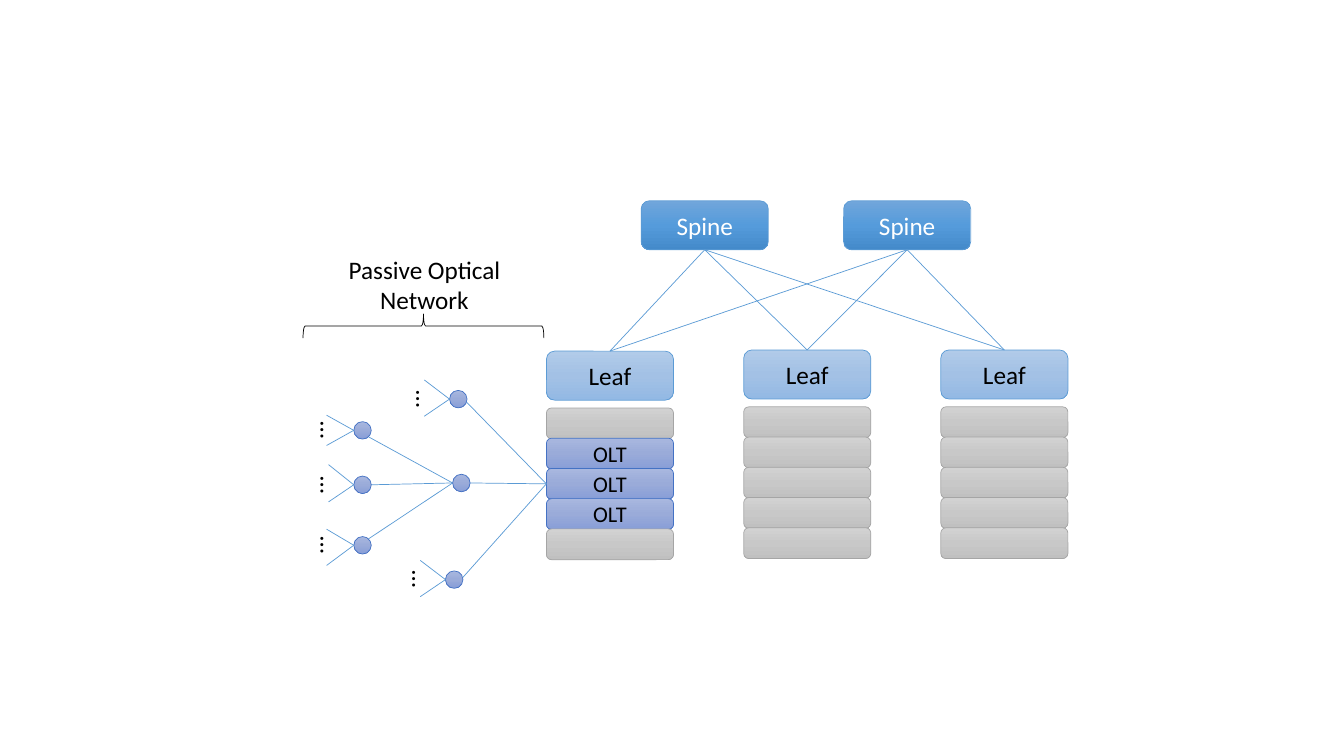
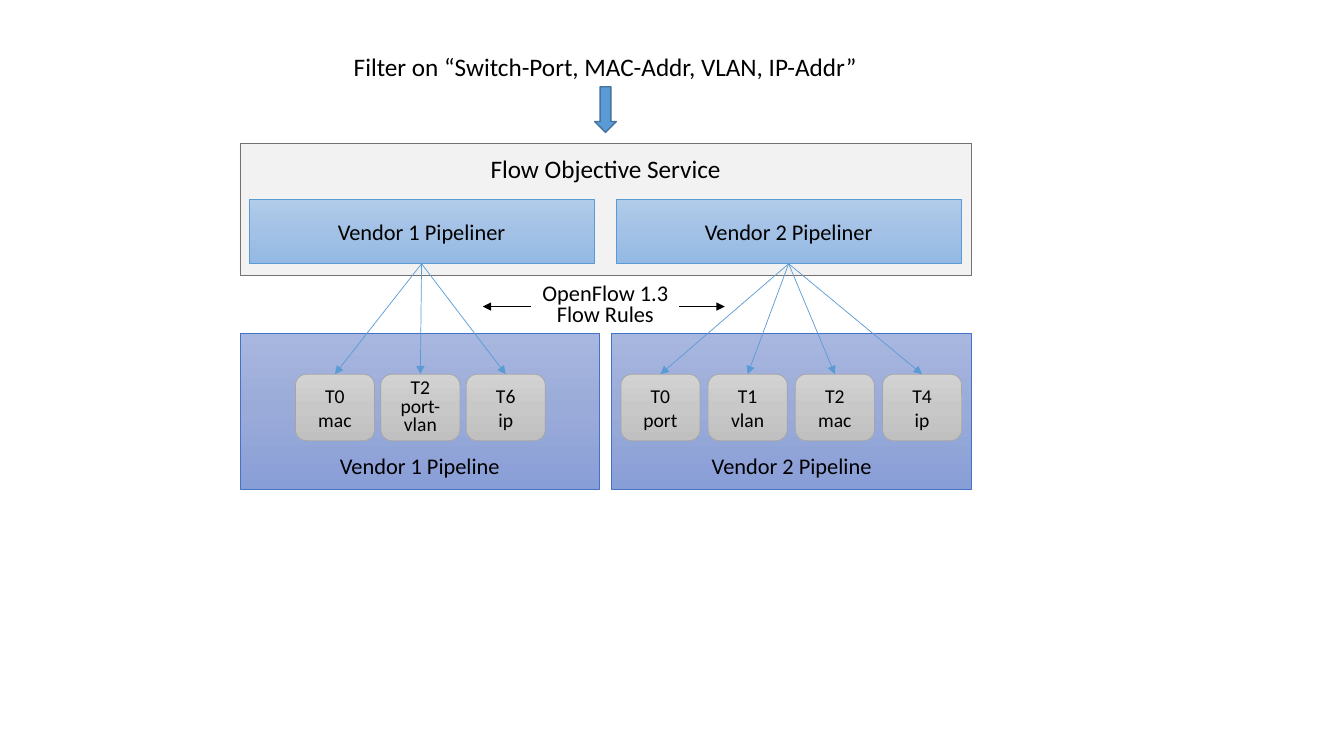
from copy import deepcopy
from pptx import Presentation
from pptx.dml.color import RGBColor
from pptx.enum.shapes import MSO_CONNECTOR, MSO_SHAPE
from pptx.enum.text import MSO_ANCHOR, PP_ALIGN
from pptx.oxml.ns import qn
from pptx.oxml.xmlchemy import OxmlElement
from pptx.util import Pt

# Shared look: fill stops and line colour
FONT, BLACK, WHITE, BLUE = "Calibri", "000000", "FFFFFF", "5B9BD5"
GRAY = (("D2D2D2", "C8C8C8", "C0C0C0"), "A5A5A5")
VIOLET = (("A8B7DF", "9AABD9", "889ED7"), "4472C4")
SKY = (("B1CBE9", "A3C1E5", "93B9E4"), BLUE)
DEEP = (("71A6DB", "559BDB", "448ACA"), BLUE)
PALE = (("F2F2F2",), "767171")
SOLID = ((BLUE,), "43739E")
CLEAR = ((), BLACK)

# Slide 1: fabric and optical network
SPINES = [458, 602.6]
LEAVES = [(390.3, 250.8), (531.2, 250), (672, 250)]
RACKS = [["", "OLT", "OLT", "OLT", ""], [""] * 5, [""] * 5]
UNIT, SLOT = (90.8, 35), (90.8, 22)
DOT = 12.5
PORT, HUB = (390.3, 345.6), (323.3, 345)
# Node left and middle, fork reach, rise and drop
NODES = [
    (252.7, 307.4, 19.4, 10.8, 10.8),
    (252.7, 346.3, 18, 14.4, 12.2),
    (252.7, 389.5, 19.4, 11.5, 14.4),
    (318.2, 414, 18, 13.7, 12.2),
    (321.1, 285.1, 18, 13.7, 12.2),
]
LINKS = [
    (PORT, (330.5, 284.4)), (PORT, (330.5, 412.6)),
    (PORT, (HUB[0] + DOT, HUB[1])),
    (HUB, (262.8, 311.8)), (HUB, (265.2, 346.3)), (HUB, (262.8, 385.2)),
]

# Slide 2: box lefts, first table, table step, tables
VENDORS = [
    ("Vendor 1", 178, 171.4, 211, 61,
     ["T0\nmac", "T2\nport-\nvlan", "T6\nip"]),
    ("Vendor 2", 440.2, 437, 443.5, 62.3,
     ["T0\nport", "T1\nvlan", "T2\nmac", "T4\nip"]),
]
TABLE, TOP = (56.5, 47.5), 267.3


def paint(text):
    return RGBColor.from_string(text)


def assign(item, values):
    for name, value in values.items():
        setattr(item, name, value)


def write(shape, text, size, color=BLACK, space=None, pad=None, **form):
    frame = shape.text_frame
    frame.text = text
    assign(frame, {"word_wrap": True, "vertical_anchor": MSO_ANCHOR.MIDDLE,
                   **form})
    if pad:
        sides = ("left", "right", "top", "bottom")
        assign(frame, {f"margin_{side}": Pt(pad) for side in sides})
    for para in frame.paragraphs:
        assign(para, {"alignment": PP_ALIGN.CENTER, "line_spacing": space})
        for run in para.runs:
            assign(run.font, {"name": FONT, "size": Pt(size)})
            run.font.color.rgb = paint(color)


def shade(shape, colors):
    fill = shape.fill
    if not colors:
        fill.background()
    elif len(colors) == 1:
        fill.solid()
        fill.fore_color.rgb = paint(colors[0])
    else:
        fill.gradient()
        fill.gradient_angle = 270
        stops = next(shape._element.spPr.iter(qn("a:gsLst")))
        stops.insert(1, deepcopy(stops[0]))
        for place, (stop, color) in enumerate(zip(fill.gradient_stops, colors)):
            stop.position = place / 2
            stop.color.rgb = paint(color)


def draw(slide, kind, spot, size, look, weight=0.5):
    shape = slide.shapes.add_shape(kind, *map(Pt, (*spot, *size)))
    shape.shadow.inherit = False
    colors, edge = look
    shade(shape, colors)
    shape.line.width = Pt(weight)
    shape.line.color.rgb = paint(edge)
    return shape


def label(slide, text, spot, span, size, **form):
    box = slide.shapes.add_textbox(*map(Pt, (*spot, *span)))
    write(box, text, size, **{"word_wrap": False,
                              "vertical_anchor": MSO_ANCHOR.TOP, **form})
    return box


def join(slide, start, end, color=BLUE, arrow=False):
    line = slide.shapes.add_connector(
        MSO_CONNECTOR.STRAIGHT, *map(Pt, (*start, *end)))
    line.line.width = Pt(0.5)
    line.line.color.rgb = paint(color)
    if arrow:
        tip = OxmlElement("a:tailEnd")
        tip.set("type", "triangle")
        line.line._get_or_add_ln().append(tip)
    line._element.spPr.append(OxmlElement("a:effectLst"))


def fabric(slide):
    # Racks under leaf switches
    for (left, top), rack in zip(LEAVES, RACKS):
        for row, text in enumerate(rack):
            look = VIOLET if text else GRAY
            slot = draw(slide, MSO_SHAPE.ROUNDED_RECTANGLE,
                        (left, top + 40.6 + row * 21.6), SLOT, look)
            if text:
                write(slot, text, 16)
        leaf = draw(slide, MSO_SHAPE.ROUNDED_RECTANGLE, (left, top), UNIT, SKY)
        write(leaf, "Leaf", 18)

    # Spine switches, each linked to every leaf
    for left in SPINES:
        spine = draw(slide, MSO_SHAPE.ROUNDED_RECTANGLE,
                     (left, 143.4), UNIT, DEEP)
        write(spine, "Spine", 18, WHITE)
        for side, top in LEAVES:
            join(slide, (left + UNIT[0] / 2, 143.4 + UNIT[1]),
                 (side + UNIT[0] / 2, top))

    # Optical tree
    for start, end in LINKS:
        join(slide, start, end)
    for left, mid in [HUB] + [node[:2] for node in NODES]:
        draw(slide, MSO_SHAPE.OVAL, (left, mid - DOT / 2), (DOT, DOT), VIOLET)
    for left, mid, reach, rise, drop in NODES:
        for shift in (-rise, drop):
            join(slide, (left, mid), (left - reach, mid + shift))
        more = label(slide, "…", (left - 30.3, mid - 14.6), (27.4, 29), 18)
        more.rotation = 90

    # Heading with brace
    brace = draw(slide, MSO_SHAPE.LEFT_BRACE, (293.8, 146.9), (17.3, 172), CLEAR)
    brace.rotation = 90
    label(slide, "Passive Optical\nNetwork", (241.2, 177.8), (124, 51), 18)


def block(slide, spot, size, look, text, points, **form):
    shape = draw(slide, MSO_SHAPE.RECTANGLE, spot, size, look)
    write(shape, text, points, pad=7.2, **form)


def flow(slide):
    # Request and service
    label(slide, "Filter on “Switch-Port, MAC-Addr, VLAN, IP-Addr”",
          (243.4, 33.1), (378, 29), 18)
    draw(slide, MSO_SHAPE.DOWN_ARROW, (424.8, 62), (15.4, 32.5), SOLID, 1)
    block(slide, (171.4, 102.6), (522.4, 94.4), PALE,
          "Flow Objective Service", 18, vertical_anchor=MSO_ANCHOR.TOP)

    # Vendor pipelines with fans of arrows
    for name, upper, lower, first, step, tables in VENDORS:
        block(slide, (upper, 142.4), (246.3, 46), SKY, f"{name} Pipeliner", 16)
        block(slide, (lower, 238), (257, 111.5), VIOLET, f"{name} Pipeline", 16,
              vertical_anchor=MSO_ANCHOR.BOTTOM)
        for place, text in enumerate(tables):
            left = first + place * step
            table = draw(slide, MSO_SHAPE.ROUNDED_RECTANGLE,
                         (left, TOP), TABLE, GRAY)
            write(table, text, 14, space=0.8 if text.count("\n") > 1 else None)
            join(slide, (upper + 246.3 / 2, 188.4),
                 (left + TABLE[0] / 2, TOP), arrow=True)

    # Protocol between both vendors
    label(slide, "OpenFlow 1.3\nFlow Rules", (379.4, 199.5), (106, 38), 16,
          space=0.8)
    for start, end in ((485.3, 517.7), (379.4, 344.9)):
        join(slide, (start, 219), (end, 219), BLACK, True)


deck = Presentation()
assign(deck, {"slide_width": Pt(960), "slide_height": Pt(540)})
for build in (fabric, flow):
    build(deck.slides.add_slide(deck.slide_layouts[6]))
deck.save("out.pptx")
